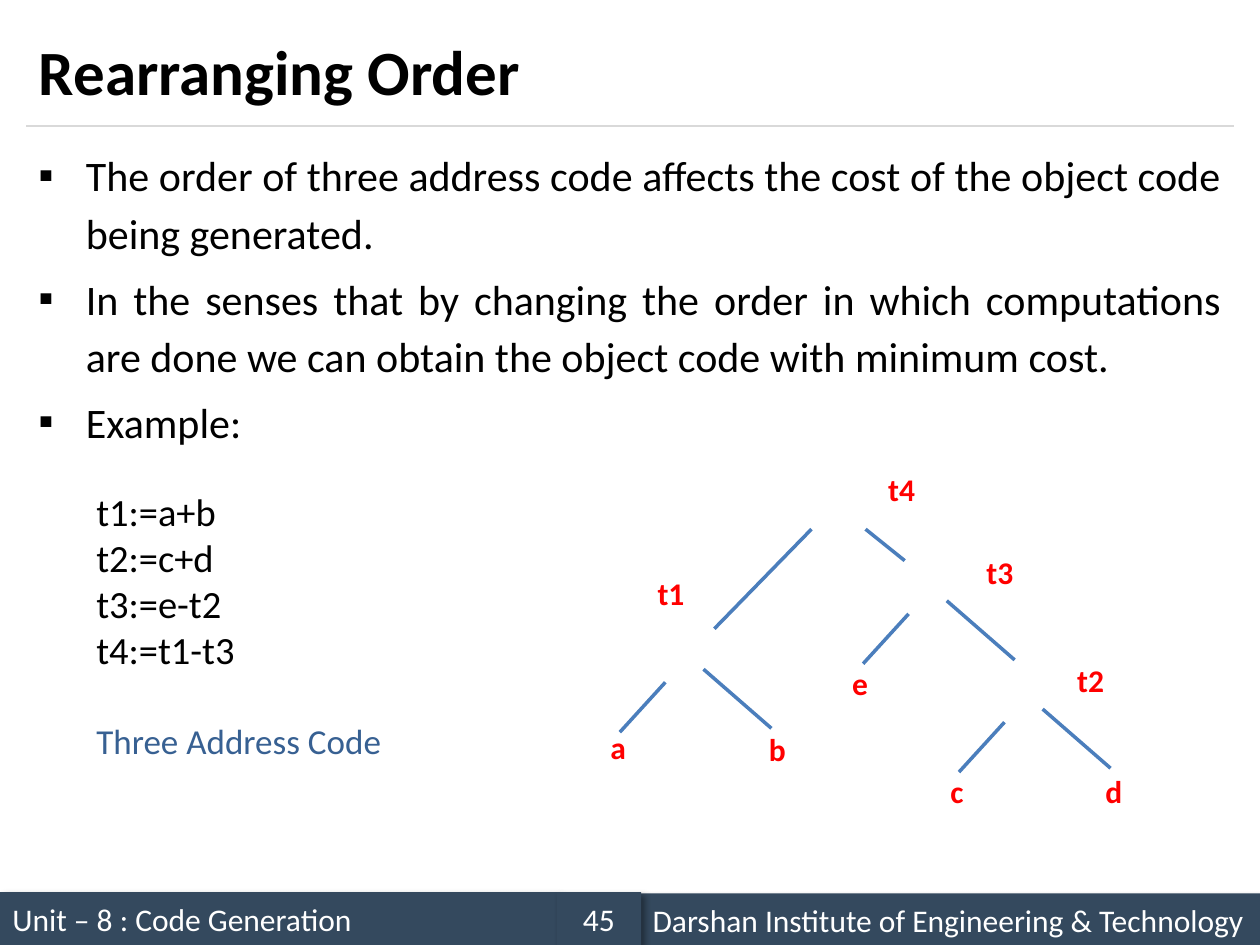
from dataclasses import dataclass

from lxml.etree import SubElement
from pptx import Presentation
from pptx.dml.color import RGBColor as RGB
from pptx.enum.shapes import MSO_CONNECTOR as CONNECTOR, MSO_SHAPE as SHAPE
from pptx.enum.text import MSO_ANCHOR as ANCHOR, PP_ALIGN as ALIGN
from pptx.oxml.ns import qn
from pptx.util import Pt


@dataclass(frozen=True)
class Theme:
    font: str = "Calibri"
    ink: RGB = RGB(0, 0, 0)
    bar: RGB = RGB(0x34, 0x49, 0x5E)
    on_bar: RGB = RGB(0xFF, 0xFF, 0xFF)
    rule: RGB = RGB(0xD9, 0xD9, 0xD9)
    caption: RGB = RGB(0x37, 0x60, 0x92)
    branch: RGB = RGB(0x4B, 0x7E, 0xBC)
    node: RGB = RGB(0xFF, 0, 0)
    title_size: int = 36
    body_size: int = 24
    code_size: int = 22
    caption_size: int = 20
    small_size: int = 18


theme = Theme()


def add_run(paragraph, text, size, color, bold=False):
    run = paragraph.add_run()
    run.text = text
    run.font.name = theme.font
    run.font.size = Pt(size)
    run.font.bold = bold
    run.font.color.rgb = color


def add_line(x1, y1, x2, y2, color, width):
    line = slide.shapes.add_connector(CONNECTOR.STRAIGHT, Pt(x1), Pt(y1), Pt(x2), Pt(y2))
    line.line.color.rgb = color
    line.line.width = Pt(width)
    SubElement(line._element.spPr, qn("a:effectLst"))


deck = Presentation()
deck.slide_width, deck.slide_height = Pt(720), Pt(540)
slide = deck.slides.add_slide(deck.slide_layouts[5])

# Footer bars
footer = [
    (0, 509.8, 318.2, "Unit – 8 : Code Generation", ALIGN.LEFT),
    (365.8, 510.5, 354.2, "Darshan Institute of Engineering & Technology", ALIGN.LEFT),
    (318.2, 509.8, 48.2, "45", ALIGN.CENTER),
]
for left, top, width, text, align in footer:
    bar = slide.shapes.add_shape(SHAPE.RECTANGLE, Pt(left), Pt(top), Pt(width), Pt(30.2))
    bar.fill.solid()
    bar.fill.fore_color.rgb = theme.bar
    bar.line.fill.background()
    bar.shadow.inherit = False
    effects = bar._element.spPr.find(qn("a:effectLst"))
    shadow = SubElement(effects, qn("a:outerShdw"), blurRad=str(Pt(4)), dist=str(Pt(3)),
                        dir="2700000", algn="tl", rotWithShape="0")
    shade = SubElement(shadow, qn("a:srgbClr"), val="000000")
    SubElement(shade, qn("a:alpha"), val="40000")
    bar.text_frame.vertical_anchor = ANCHOR.MIDDLE
    bar.text_frame.word_wrap = True
    label = bar.text_frame.paragraphs[0]
    label.alignment = align
    add_run(label, text, theme.small_size, theme.on_bar)

# Title and rule
title = slide.shapes.title
title.left, title.top, title.width, title.height = Pt(15), Pt(8.6), Pt(690), Pt(63.4)
title.text_frame.vertical_anchor = ANCHOR.MIDDLE
heading = title.text_frame.paragraphs[0]
heading.alignment = ALIGN.LEFT
add_run(heading, "Rearranging Order", theme.title_size, theme.ink, bold=True)
add_line(15, 72, 705, 72, theme.rule, 0.75)

# Bullets
points = [
    "The order of three address code affects the cost of the object code being generated.",
    "In the senses that by changing the order in which computations are done "
    "we can obtain the object code with minimum cost.",
    "Example:",
]
body = slide.shapes.add_textbox(Pt(15), Pt(78), Pt(690), Pt(420)).text_frame
body.word_wrap = True
for i, text in enumerate(points):
    point = body.add_paragraph() if i else body.paragraphs[0]
    props = point._p.get_or_add_pPr()
    props.set("marL", str(Pt(27)))
    props.set("indent", str(Pt(-27)))
    SubElement(props, qn("a:buFont"), typeface="Wingdings")
    SubElement(props, qn("a:buChar"), char="▪")
    props.find(qn("a:buFont")).set("typeface", theme.font)
    point.alignment = ALIGN.JUSTIFY
    point.line_spacing = 1.14
    if i:
        point.space_before = Pt(4.8)
    add_run(point, text, theme.body_size, theme.ink)

# Three address code with its caption
code = slide.shapes.add_textbox(Pt(48), Pt(252), Pt(180), Pt(210)).text_frame
code.word_wrap = True
code.vertical_anchor = ANCHOR.MIDDLE
for i, text in enumerate(["t1:=a+b", "t2:=c+d", "t3:=e-t2", "t4:=t1-t3"]):
    statement = code.add_paragraph() if i else code.paragraphs[0]
    add_run(statement, text, theme.code_size, theme.ink)
caption = code.add_paragraph()
caption.space_before = Pt(26.8)
add_run(caption, "Three Address Code", theme.caption_size, theme.caption)

# Tree branches: the root pair, then three equal forks placed by their lower left end
add_line(463.7, 302.4, 408.2, 359.3, theme.branch, 2)
add_line(494.6, 302.4, 517, 320.4, theme.branch, 2)
for x, y in [(354.2, 418.4), (548, 441.2), (493.2, 379.3)]:
    add_line(x, y, x + 26, y - 28.5, theme.branch, 2)
    add_line(x + 47.8, y - 36, x + 86.6, y - 2.2, theme.branch, 2)

# Tree labels, by centre
nodes = [
    ("a", 353.2, 427), ("b", 444.2, 427.7), ("c", 546.8, 452.2),
    ("d", 636.5, 452.2), ("e", 491.4, 390.2), ("t1", 383.4, 338.8),
    ("t2", 623.2, 388.8), ("t3", 571.3, 326.9), ("t4", 515.2, 279.4),
]
node_width, node_height = 32, 30
for text, x, y in nodes:
    node = slide.shapes.add_textbox(Pt(x - node_width / 2), Pt(y - node_height / 2),
                                    Pt(node_width), Pt(node_height)).text_frame
    node.word_wrap = True
    node.margin_left = node.margin_right = 0
    node.vertical_anchor = ANCHOR.MIDDLE
    name = node.paragraphs[0]
    name.alignment = ALIGN.CENTER
    add_run(name, text, theme.small_size, theme.node, bold=True)

deck.save("out.pptx")
